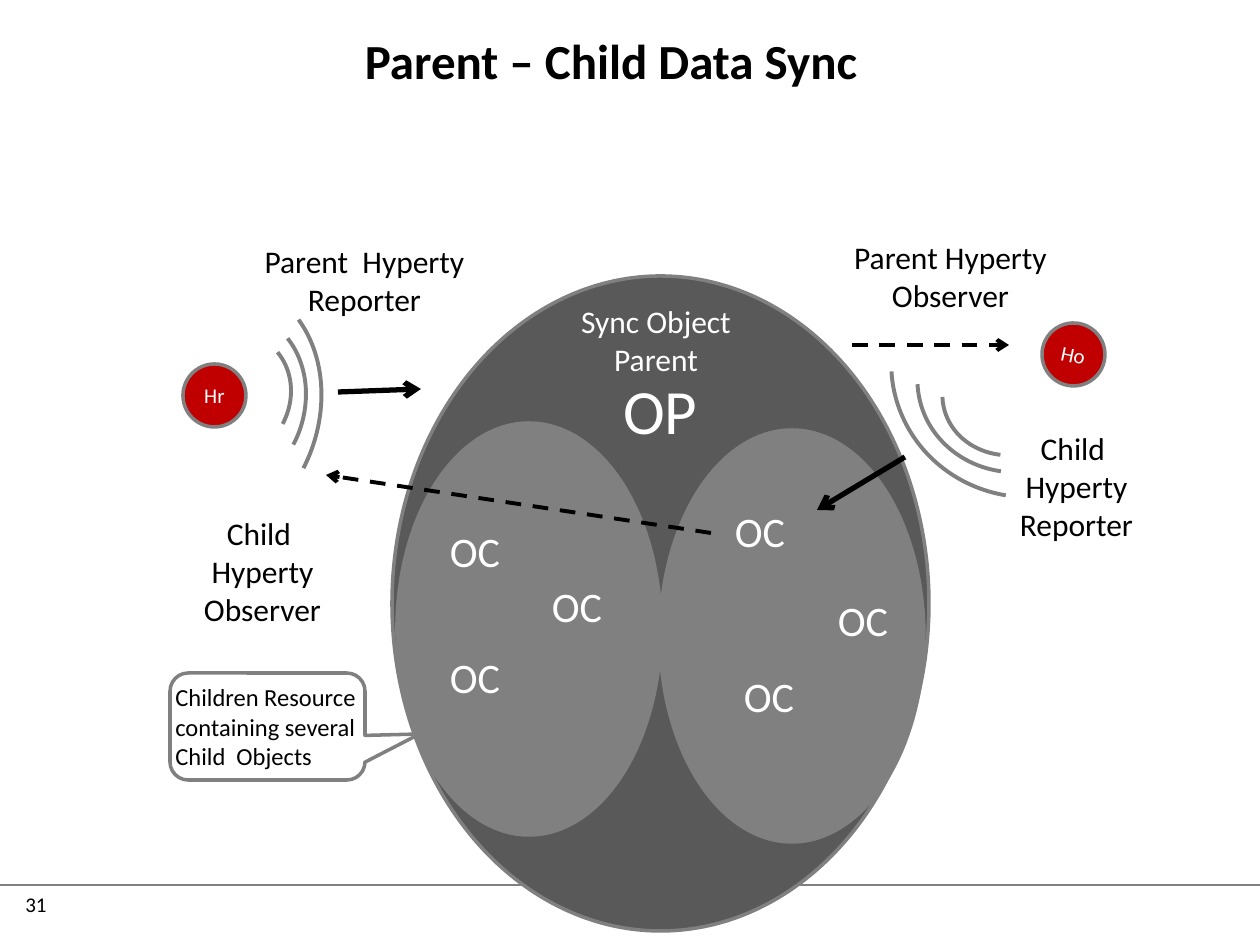
from lxml.etree import SubElement
from pptx import Presentation
from pptx.dml.color import RGBColor
from pptx.enum.dml import MSO_LINE
from pptx.enum.shapes import MSO_CONNECTOR, MSO_SHAPE
from pptx.enum.text import MSO_ANCHOR, PP_ALIGN
from pptx.oxml.ns import qn
from pptx.util import Inches, Pt

BLACK = RGBColor(0, 0, 0)
WHITE = RGBColor(255, 255, 255)
GRAY = RGBColor(0x80, 0x80, 0x80)
DARK = RGBColor(0x59, 0x59, 0x59)
RED = RGBColor(0xC0, 0, 0)
FONT = "Calibri"


def px(n):
    """Turn pixels into EMU."""
    return round(n * Inches(1) / 126)


def write(tf, lines, size, color, align, bold=False):
    """Fill a text frame with one paragraph for each line."""
    for i, line in enumerate(lines):
        p = tf.add_paragraph() if i else tf.paragraphs[0]
        p.text = line
        p.alignment = align
        p.font.name, p.font.size, p.font.bold = FONT, Pt(size), bold
        p.font.color.rgb = color


def label(s, x, y, w, h, text, size=18, color=BLACK, align=PP_ALIGN.CENTER, bold=False):
    """Add a wrapped text box."""
    tf = s.shapes.add_textbox(px(x), px(y), px(w), px(h)).text_frame
    tf.word_wrap = True
    write(tf, [text], size, color, align, bold)


def shape(s, kind, x, y, w, h, fill=None, line_width=2, rotation=0):
    """Add a preset shape with a gray outline."""
    sp = s.shapes.add_shape(kind, px(x), px(y), px(w), px(h))
    sp.shadow.inherit = False
    sp.rotation = rotation
    if fill is None:
        sp.fill.background()
    else:
        sp.fill.solid()
        sp.fill.fore_color.rgb = fill
    sp.line.color.rgb = GRAY
    sp.line.width = Pt(line_width)
    return sp


def shape_text(sp, lines, size, color=WHITE, align=PP_ALIGN.CENTER, anchor=MSO_ANCHOR.MIDDLE):
    """Write unwrapped text in a shape without margins."""
    tf = sp.text_frame
    tf.margin_left = tf.margin_top = tf.margin_right = tf.margin_bottom = 0
    tf.word_wrap = False
    tf.vertical_anchor = anchor
    write(tf, lines, size, color, align)


def line(s, x1, y1, x2, y2, width, color=BLACK, dashed=False, arrow=True):
    """Add a straight line, with an arrowhead at its end if wanted."""
    c = s.shapes.add_connector(MSO_CONNECTOR.STRAIGHT, px(x1), px(y1), px(x2), px(y2))
    c.line.color.rgb = color
    c.line.width = Pt(width)
    if dashed:
        c.line.dash_style = MSO_LINE.DASH
    if arrow:
        SubElement(c.line._get_or_add_ln(), qn("a:tailEnd"), type="arrow")
    SubElement(c._element.spPr, qn("a:effectLst"))


def signal(s, x, y, arcs, rotation):
    """Draw the nested arcs of a broadcast signal."""
    for dx, dy, w, h in arcs:
        sp = shape(s, MSO_SHAPE.ARC, x + dx, y + dy, w, h, None, 2.25, rotation)
        sp.adjustments[0], sp.adjustments[1] = 175.92, 4.96


def hyperty(s, x, y, name, rotation=0):
    """Draw a red hyperty node."""
    shape_text(shape(s, MSO_SHAPE.OVAL, x, y, 63, 63, RED, rotation=rotation), [name], 12)


def footer(s, x, y, w):
    """Draw the footer rule and the slide number."""
    label(s, x + 13, y, 101, 50, "31", 12, align=PP_ALIGN.LEFT)
    line(s, x, y, x + w, y, 0.75, GRAY, arrow=False)


def children(s, x, y, w, h, objects):
    """Draw a children resource and its child objects."""
    shape(s, MSO_SHAPE.OVAL, x, y, w, h, GRAY)
    for dx, dy in objects:
        sp = shape(s, MSO_SHAPE.OVAL, x + dx, y + dy, 96, 84, GRAY)
        shape_text(sp, ["OC"], 24, anchor=MSO_ANCHOR.TOP)


def sync_object(s, x, y, w, h):
    """Draw the parent object with its two children resources."""
    sp = shape(s, MSO_SHAPE.OVAL, x, y, w, h, DARK)
    shape_text(sp, ["OP"], 36, anchor=MSO_ANCHOR.TOP)
    label(s, x + 155, y + 20, 218, 89, "Sync Object Parent", color=WHITE)
    children(s, x + 5, y + 147, 264, 412, [(30, 90), (132, 145), (30, 216)])
    children(s, x + 268, y + 154, 264, 412, [(52, 63), (155, 152), (61, 228)])


def reporter_side(s, x, y):
    """Draw the parent reporter and child observer side."""
    hyperty(s, x + 45, y + 128, "Hr")
    label(s, x + 90, y, 273, 89, "Parent  Hyperty Reporter")
    signal(s, x - 43, y + 41, [(83, 56, 112, 126), (46, 32, 163, 190), (0, 0, 223, 271)], 21.6)
    line(s, x + 200, y + 156, x + 283, y + 153, 3)
    line(s, x + 573, y + 297, x + 188, y + 239, 2.25, dashed=True)
    label(s, x + 1, y + 272, 247, 127, "Child \vHyperty Observer")


def observer_side(s, x, y):
    """Draw the parent observer and child reporter side."""
    hyperty(s, x + 215, y + 91, "Ho", 11.9)
    label(s, x, y, 247, 89, "Parent Hyperty Observer")
    line(s, x + 25, y + 113, x + 182, y + 113, 2.25, dashed=True)
    signal(s, x + 64, y - 6, [(51, 103, 141, 126), (26, 56, 204, 190), (0, 0, 281, 271)], 167.7)
    line(s, x + 78, y + 225, x - 10, y + 278, 3)
    label(s, x + 126, y + 191, 247, 127, "Child \vHyperty Reporter")


def callout(s, x, y, w, h):
    """Explain the children resource."""
    sp = shape(s, MSO_SHAPE.ROUNDED_RECTANGULAR_CALLOUT, x, y, w, h, WHITE)
    for i, value in enumerate((0.78, 0.07, 0.17)):
        sp.adjustments[i] = value
    lines = ["Children Resource", "containing several\vChild  Objects"]
    shape_text(sp, lines, 14, BLACK, PP_ALIGN.LEFT)


def main():
    """Build and save the slide."""
    prs = Presentation()
    prs.slide_width, prs.slide_height = px(1260), px(945)
    s = prs.slides.add_slide(prs.slide_layouts[6])
    footer(s, 0, 885, 1260)
    label(s, 115, 24, 992, 66, "Parent – Child Data Sync", 28, bold=True)
    sync_object(s, 392, 276, 537, 655)
    reporter_side(s, 138, 236)
    observer_side(s, 827, 232)
    callout(s, 170, 673, 195, 107)
    prs.save("out.pptx")


if __name__ == "__main__":
    main()
